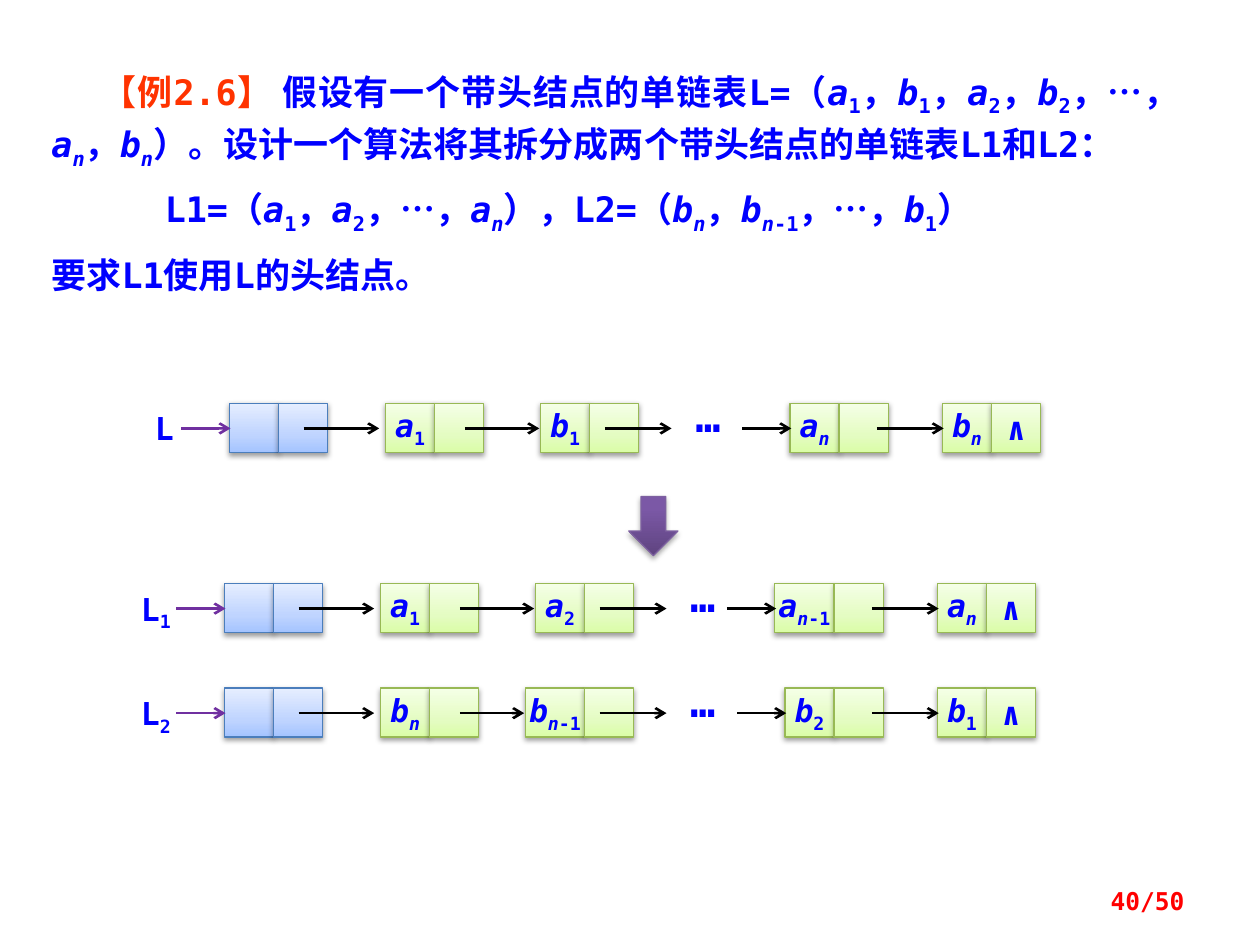
from lxml import etree
from pptx import Presentation
from pptx import util as u
from pptx.dml.color import RGBColor
from pptx.enum import shapes, text
from pptx.oxml.ns import qn

FONT = "DejaVu Sans Mono"
BLUE, ORANGE, RED, BLACK, PURPLE = "0000FF", "FF3300", "FF0000", "000000", "7030A0"
HEAD_STYLE = ([(0, "A4C4FF"), (35, "BFD4FF"), (100, "E6EEFF")], "4B7EBC")
DATA_STYLE = ([(0, "DAFDA7"), (35, "E4FCC2"), (100, "F5FFE7")], "98B955")
ARROW_STYLE = ([(0, "5F4480"), (80, "7B58A6"), (100, "7C57A8")], "7D60A0")
CELL, WIDE_CELL = 0.39, 0.47

# Left edges of the pointer cells, measured from the head node
POINTERS = [0.39, 1.63, 2.86, 4.84, 6.05]

# Markup: *italic*, ~subscript~, #highlight#, ^Arial^
PROBLEM = [
    ("#【例2.6】 #假设有一个带头结点的单链表L=（*a*~1~，*b*~1~，*a*~2~，*b*~2~，…，"
     "*a~n~*，*b~n~*）。设计一个算法将其拆分成两个带头结点的单链表L1和L2：", 0.4),
    ("L1=（*a*~1~，*a*~2~，^…^，*a~n~*），L2=（*b~n~*，*b~n*-1~，^…^，*b*~1~）", 0.9),
    ("要求L1使用L的头结点。", 0),
]


def rgb(value):
    return RGBColor.from_string(value)


def write(para, markup, size, color=BLUE):
    """Add the marked-up text to a paragraph as formatted runs."""
    pieces, active = [], frozenset()
    for char in markup:
        if char in "*~#^":
            active ^= {char}
        elif pieces and pieces[-1][1] == active:
            pieces[-1][0] += char
        else:
            pieces.append([char, active])
    for words, marks in pieces:
        span = para.add_run()
        span.text = words
        font = span.font
        font.size, font.bold = u.Pt(size), True
        font.name = "Arial" if "^" in marks else FONT
        font.color.rgb = rgb(ORANGE if "#" in marks else color)
        if "*" in marks:
            font.italic = True
        if "~" in marks:
            font._element.set("baseline", "-25000")


def add_text(page, left, top, width, height, markup, size, color=BLUE):
    box = page.shapes.add_textbox(*map(u.Inches, (left, top, width, height)))
    box.text_frame.word_wrap = True
    write(box.text_frame.paragraphs[0], markup, size, color)
    return box


def add_block(page, kind, left, top, width, height, style, shade=38):
    """Add a preset shape with a vertical gradient and a soft shadow."""
    stops, border = style
    block = page.shapes.add_shape(kind, *map(u.Inches, (left, top, width, height)))
    block.fill.gradient()
    block.fill.gradient_angle = 90
    stop_list = block._element.spPr.find(".//" + qn("a:gsLst"))
    for old in list(stop_list):
        stop_list.remove(old)
    for position, color in stops:
        stop = etree.SubElement(stop_list, qn("a:gs"), pos=str(position * 1000))
        etree.SubElement(stop, qn("a:srgbClr"), val=color)
    block.line.color.rgb = rgb(border)
    block.line.width = u.Pt(0.75)
    block.shadow.inherit = False
    shadow = etree.SubElement(
        block._element.spPr.find(qn("a:effectLst")), qn("a:outerShdw"),
        blurRad=str(u.Pt(3.1)), dist=str(u.Pt(1.6)), dir="5400000", rotWithShape="0")
    tint = etree.SubElement(shadow, qn("a:srgbClr"), val=BLACK)
    etree.SubElement(tint, qn("a:alpha"), val=str(shade * 1000))
    return block


def add_cell(page, left, top, width, style, markup=""):
    cell = add_block(page, shapes.MSO_SHAPE.RECTANGLE, left, top, width, CELL, style)
    if markup:
        frame = cell.text_frame
        frame.word_wrap = False
        frame.vertical_anchor = text.MSO_ANCHOR.MIDDLE
        frame.paragraphs[0].alignment = text.PP_ALIGN.CENTER
        write(frame.paragraphs[0], markup, 18)


def add_arrow(page, start, end, y, color=BLACK):
    line = page.shapes.add_connector(
        shapes.MSO_CONNECTOR.STRAIGHT, *map(u.Inches, (start, y, end, y)))
    line.line.color.rgb = rgb(color)
    line.line.width = u.Pt(1.5)
    etree.SubElement(line.line._get_or_add_ln(), qn("a:tailEnd"), type="arrow")
    etree.SubElement(line._element.spPr, qn("a:effectLst"))


def add_list(page, left, top, name, name_left, name_width, values):
    """Draw a linked list: head node, two nodes, an ellipsis, two nodes."""
    middle = top + 0.2
    pointers = [left + offset for offset in POINTERS]
    widths = [WIDE_CELL if "-1" in value else CELL for value in [""] + values]
    starts = [pointer - width for pointer, width in zip(pointers, widths)]

    # Nodes
    for i, value in enumerate([""] + values):
        style = DATA_STYLE if i else HEAD_STYLE
        add_cell(page, starts[i], top, widths[i], style, value)
        add_cell(page, pointers[i], top, CELL, style, "∧" if i == 4 else "")

    # Name and ellipsis
    add_text(page, name_left, top, name_width, 0.4, name, 18)
    add_text(page, left + 3.6, top - 0.15, 0.44, 0.5, "…", 24)

    # Links
    add_arrow(page, left - 0.38, left + 0.01, middle, PURPLE)
    add_arrow(page, pointers[0] + 0.2, starts[1] - 0.05, middle)
    add_arrow(page, pointers[1] + 0.24, starts[2] - 0.01, middle)
    add_arrow(page, pointers[2] + 0.12, pointers[2] + 0.65, middle)
    add_arrow(page, starts[3] - 0.38, starts[3] + 0.01, middle)
    add_arrow(page, pointers[3] + 0.3, starts[4] + 0.01, middle)


def add_problem(page):
    box = page.shapes.add_textbox(*map(u.Inches, (0.31, 0.47, 9.14, 1.95)))
    frame = box.text_frame
    frame.word_wrap = True
    for i, (markup, indent) in enumerate(PROBLEM):
        para = frame.add_paragraph() if i else frame.paragraphs[0]
        para.alignment = text.PP_ALIGN.JUSTIFY
        para._p.get_or_add_pPr().set("indent", str(u.Inches(indent)))
        if i:
            para.space_before = u.Pt(10)
        else:
            para.line_spacing = u.Pt(30)
        write(para, markup, 20)


def main():
    deck = Presentation()
    deck.slide_width, deck.slide_height = u.Inches(10), u.Inches(7.5)
    page = deck.slides.add_slide(deck.slide_layouts[6])

    add_problem(page)

    # The list before and after splitting
    add_list(page, 1.82, 3.2, "L", 1.13, 0.29, ["*a*~1~", "*b*~1~", "*a~n~*", "*b~n~*"])
    add_block(page, shapes.MSO_SHAPE.DOWN_ARROW, 4.99, 3.94, 0.39, 0.47, ARROW_STYLE, 35)
    add_list(page, 1.78, 4.63, "L~1~", 1.02, 0.61,
             ["*a*~1~", "*a*~2~", "*a~n*-1~", "*a~n~*"])
    add_list(page, 1.78, 5.46, "L~2~", 1.02, 0.61,
             ["*b~n~*", "*b~n*-1~", "*b*~2~", "*b*~1~"])

    # Page number
    number = add_text(page, 7.17, 6.95, 2.33, 0.4, "40/50", 14, RED)
    number.text_frame.vertical_anchor = text.MSO_ANCHOR.MIDDLE
    number.text_frame.paragraphs[0].alignment = text.PP_ALIGN.RIGHT

    deck.save("out.pptx")


if __name__ == "__main__":
    main()
